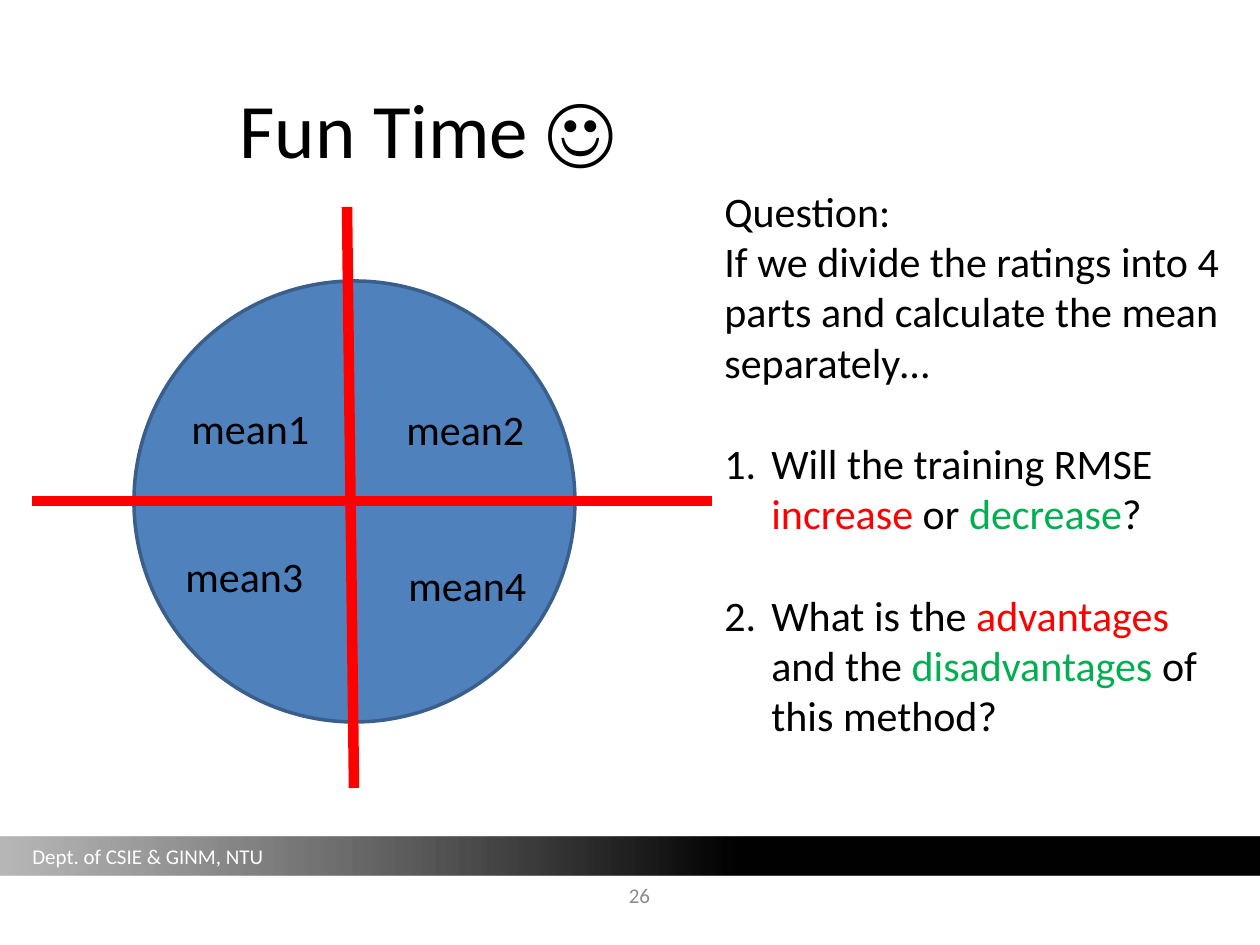
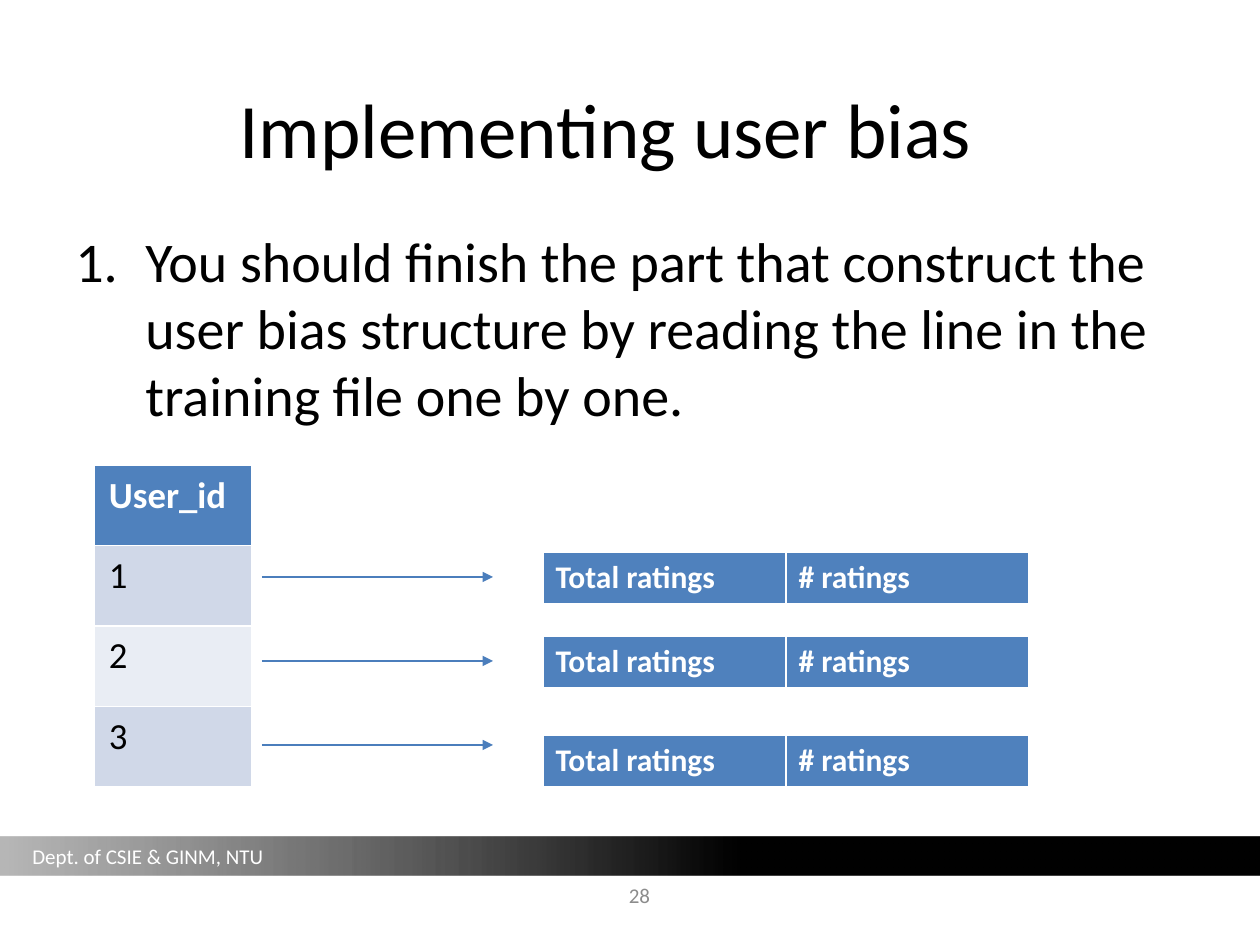
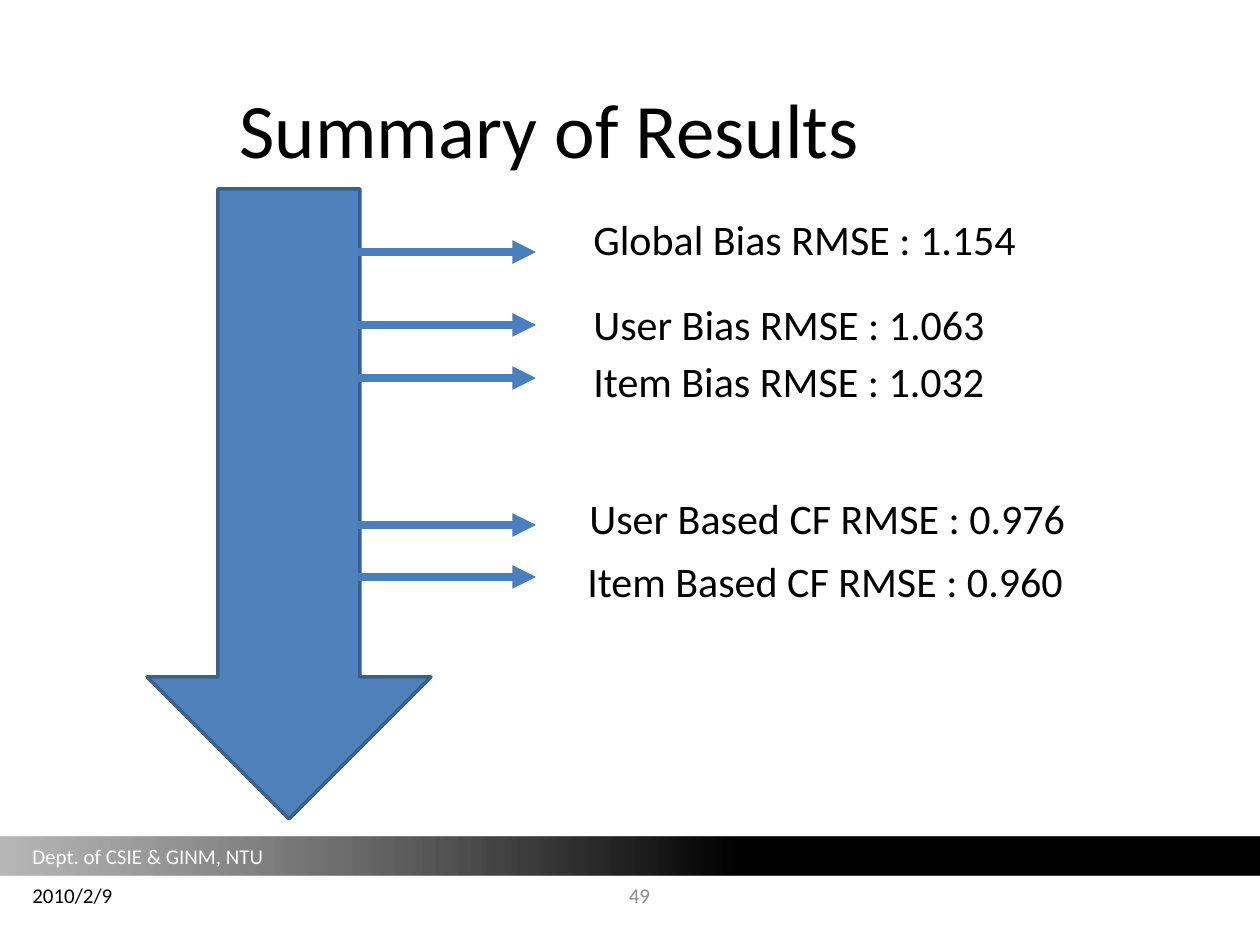
import typing

import pptx
import pptx.dml.color
import pptx.enum.shapes
import pptx.enum.text
import pptx.oxml.ns
import pptx.util
from lxml import etree

RGB = pptx.dml.color.RGBColor
SHAPES = pptx.enum.shapes.MSO_SHAPE
ALIGN = pptx.enum.text.PP_ALIGN
ANCHOR = pptx.enum.text.MSO_ANCHOR
qn = pptx.oxml.ns.qn

PX_PER_INCH = 126
FONT = "Calibri"
BLACK = RGB(0x00, 0x00, 0x00)
WHITE = RGB(0xFF, 0xFF, 0xFF)
GRAY = RGB(0x8C, 0x8C, 0x8C)
BAND_GRAY = RGB(0x40, 0x40, 0x40)
BLUE = RGB(0x4F, 0x81, 0xBD)
OUTLINE_BLUE = RGB(0x3A, 0x5F, 0x8C)
ARROW_BLUE = RGB(0x4B, 0x7E, 0xBC)
ROW_DARK = RGB(0xD0, 0xD8, 0xE8)
ROW_LIGHT = RGB(0xE9, 0xED, 0xF4)
RED = RGB(0xFF, 0x00, 0x00)
GREEN = RGB(0x00, 0xB0, 0x50)


class Box(typing.NamedTuple):
    left: int
    top: int
    width: int
    height: int

    def inside(self, x, y, width, height):
        return Box(self.left + x, self.top + y, width, height)


def px(length):
    return pptx.util.Emu(round(length * pptx.util.Inches(1) / PX_PER_INCH))


def place(box):
    return [px(length) for length in box]


def style(para, size, color=BLACK, bold=False):
    font = para.font
    font.name, font.size, font.bold = FONT, pptx.util.Pt(size), bold
    font.color.rgb = color


def number(para, indent):
    properties = para._p.get_or_add_pPr()
    properties.set("marL", str(px(indent)))
    properties.set("indent", str(-px(indent)))
    properties.insert(0, etree.Element(qn("a:buAutoNum"), type="arabicPeriod"))


def add_text(page, box, text, size, color=BLACK, align=ALIGN.LEFT, anchor=ANCHOR.TOP):
    frame = page.shapes.add_textbox(*place(box)).text_frame
    frame.word_wrap = True
    frame.vertical_anchor = anchor
    para = frame.paragraphs[0]
    para.text, para.alignment = text, align
    style(para, size, color)
    return frame


def add_solid(page, kind, box):
    shape = page.shapes.add_shape(kind, *place(box))
    shape.shadow.inherit = False
    shape.fill.solid()
    shape.fill.fore_color.rgb = BLUE
    shape.line.color.rgb = OUTLINE_BLUE
    shape.line.width = pptx.util.Pt(2)


def add_line(page, start, end, color, width, arrow=False):
    line = page.shapes.add_connector(
        pptx.enum.shapes.MSO_CONNECTOR.STRAIGHT, *map(px, start + end))
    line.line.color.rgb = color
    line.line.width = pptx.util.Pt(width)
    properties = line.element.spPr
    if arrow:
        etree.SubElement(properties.find(qn("a:ln")), qn("a:tailEnd"), type="triangle")
    etree.SubElement(properties, qn("a:effectLst"))


def add_table(page, box, rows, size, fills, margins=None):
    frame = page.shapes.add_table(len(rows), len(rows[0]), *place(box))
    for row_index, row in enumerate(rows):
        for column_index, text in enumerate(row):
            cell = frame.table.cell(row_index, column_index)
            cell.fill.solid()
            cell.fill.fore_color.rgb = fills[row_index]
            if margins:
                across, down = margins
                cell.margin_left = cell.margin_right = px(across)
                cell.margin_top = cell.margin_bottom = px(down)
            cell.text = text
            header = row_index == 0
            style(cell.text_frame.paragraphs[0], size, WHITE if header else BLACK, header)


def add_band(page, box):
    band = page.shapes.add_shape(SHAPES.RECTANGLE, *place(box))
    band.shadow.inherit = False
    band.line.fill.background()
    band.fill.gradient()
    band.fill.gradient_angle = 180
    stops = band.fill.gradient_stops
    for stop, position, color in zip(stops, (0.41, 1), (BLACK, BAND_GRAY)):
        stop.position = position
        stop.color.rgb = color
    faded = list(band.element.spPr.iter(qn("a:srgbClr")))[-1]
    etree.SubElement(faded, qn("a:alpha"), val="37000")
    add_text(page, box.inside(20, 0, 325, 38), "Dept. of CSIE & GINM, NTU", 12, WHITE)


def add_page(deck, title, page_number, date=None):
    page = deck.slides.add_slide(deck.slide_layouts[5])
    add_band(page, Box(0, 837, 1260, 39))
    heading = page.shapes.title
    heading.left, heading.top, heading.width, heading.height = place(Box(227, 49, 970, 158))
    heading.text_frame.vertical_anchor = ANCHOR.MIDDLE
    para = heading.text_frame.paragraphs[0]
    para.text, para.alignment = title, ALIGN.LEFT
    style(para, 44)
    add_text(page, Box(493, 876, 293, 39), page_number, 12, GRAY, ALIGN.CENTER, ANCHOR.MIDDLE)
    if date:
        add_text(page, Box(20, 876, 305, 39), date, 12, anchor=ANCHOR.MIDDLE)
    return page


def draw_divided_ratings(page, box):
    add_solid(page, SHAPES.OVAL, box.inside(102, 74, 441, 441))
    middle = box.top + 294
    add_line(page, (box.left, middle), (box.left + box.width, middle), RED, 6)
    add_line(page, (box.left + 315, box.top), (box.left + 322, box.top + box.height), RED, 6)
    labels = (("mean1", 147, 189), ("mean2", 362, 190),
              ("mean3", 141, 337), ("mean4", 364, 346))
    for label, x, y in labels:
        add_text(page, box.inside(x, y, 158, 63), label, 24)


def write_question(page, box):
    frame = add_text(page, box, "Question:", 24)
    setup = frame.add_paragraph()
    setup.text = "If we divide the ratings into 4 parts and calculate the mean separately…"
    style(setup, 24)
    questions = (
        (("Will the training RMSE ", None), ("increase", RED), (" or ", None),
         ("decrease", GREEN), ("?", None)),
        (("What is the ", None), ("advantages ", RED), ("and the ", None),
         ("disadvantages", GREEN), (" of this method?", None)),
    )
    for question in questions:
        para = frame.add_paragraph()
        number(para, 47)
        para.space_before = pptx.util.Pt(29)
        style(para, 24)
        for text, color in question:
            span = para.add_run()
            span.text = text
            if color:
                span.font.color.rgb = color


def write_task(page, box):
    frame = add_text(page, box, "You should finish the part that construct the user bias "
                     "structure by reading the line in the training file one by one.", 32)
    number(frame.paragraphs[0], 70)


def draw_user_structure(page, box):
    add_table(page, box.inside(0, 0, 158, box.height), [["User_id"], ["1"], ["2"], ["3"]],
              21, [BLUE, ROW_DARK, ROW_LIGHT, ROW_DARK], (15, 8))
    for index, record_top in enumerate((87, 171, 270)):
        y = box.top + 112 + 84 * index
        add_line(page, (box.left + 168, y), (box.left + 399, y), ARROW_BLUE, 0.75, arrow=True)
        add_table(page, box.inside(449, record_top, 486, 52),
                  [["Total ratings", "# ratings"]], 18, [BLUE])


def draw_results(page, box):
    add_solid(page, SHAPES.DOWN_ARROW, box.inside(0, 0, 284, box.height))
    results = (
        ("Global Bias RMSE : 1.154", 63, 434, 18),
        ("User Bias RMSE : 1.063", 136, 434, 103),
        ("Item Bias RMSE : 1.032", 189, 434, 160),
        ("User Based CF RMSE : 0.976", 336, 430, 297),
        ("Item Based CF RMSE : 0.960", 388, 428, 360),
    )
    for text, arrow_y, text_x, text_y in results:
        y = box.top + arrow_y
        add_line(page, (box.left + 210, y), (box.left + 389, y), ARROW_BLUE, 4.5, arrow=True)
        add_text(page, box.inside(text_x, text_y, 553, 63), text, 24)


def main():
    deck = pptx.Presentation()
    deck.slide_width, deck.slide_height = px(1260), px(945)

    page = add_page(deck, "Fun Time ☺", "26")
    draw_divided_ratings(page, Box(32, 207, 680, 581))
    write_question(page, Box(712, 179, 538, 572))

    page = add_page(deck, "Implementing user bias", "28")
    write_task(page, Box(63, 220, 1134, 242))
    draw_user_structure(page, Box(94, 465, 936, 322))

    page = add_page(deck, "Summary of Results", "49", "2010/2/9")
    draw_results(page, Box(147, 189, 984, 630))

    deck.save("out.pptx")


if __name__ == "__main__":
    main()
